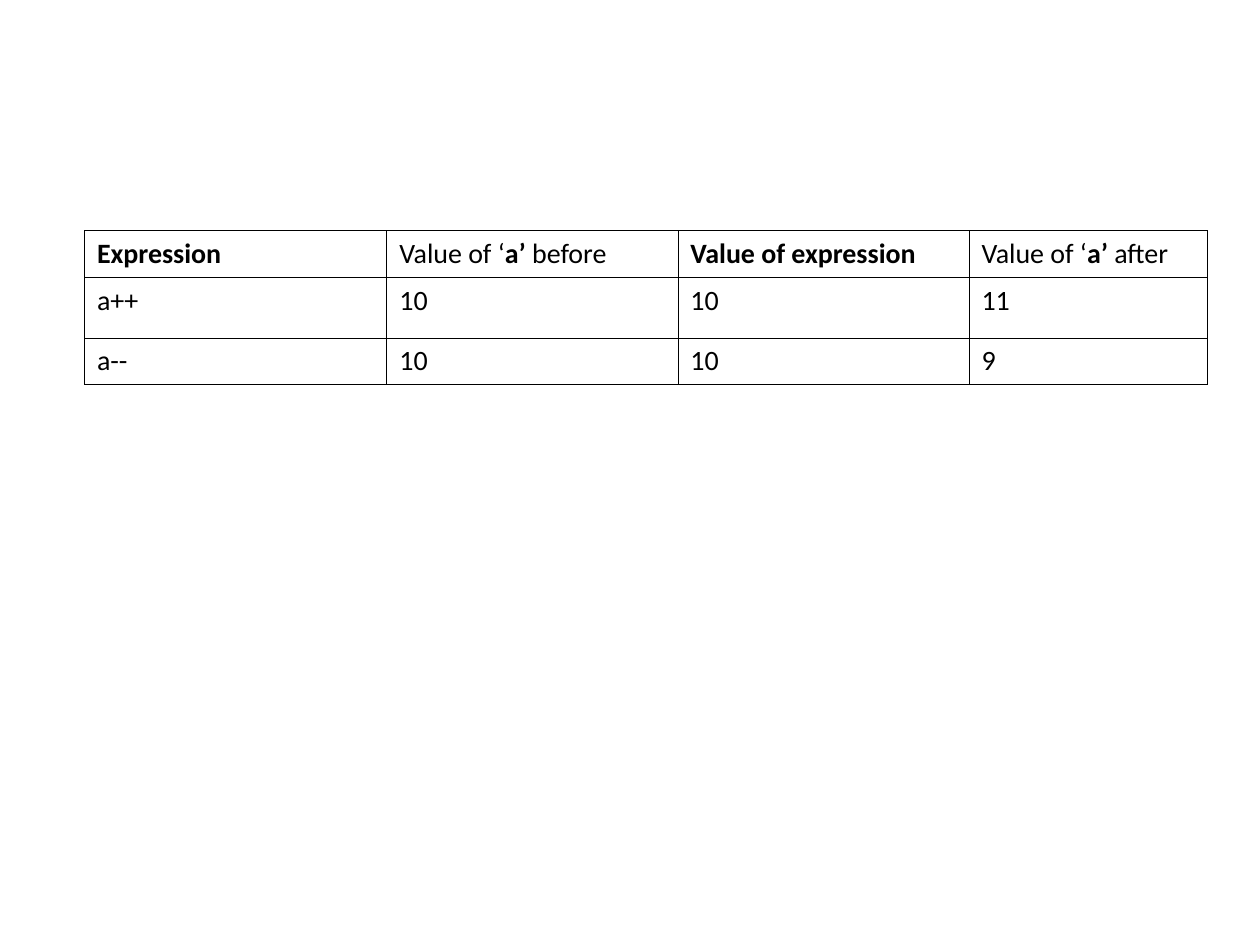
from pptx import Presentation
from pptx.dml.color import RGBColor
from pptx.oxml import parse_xml
from pptx.oxml.ns import nsdecls
from pptx.util import Inches, Pt

BLACK = RGBColor(0, 0, 0)
WIDTHS = [2.4, 2.31, 2.31, 1.89]
HEIGHTS = [0.37, 0.48, 0.37]
# Each cell is a list of (text, bold) runs.
HEAD = [
    [("Expression", True)],
    [("Value of ‘", False), ("a’", True), (" before", False)],
    [("Value of expression", True)],
    [("Value of ‘", False), ("a’", True), (" after", False)],
]
BODY = [["a++", "10", "10", "11"], ["a--", "10", "10", "9"]]
ROWS = [HEAD] + [[[(text, False)] for text in row] for row in BODY]


def add_border(cell):
    props = cell._tc.get_or_add_tcPr()
    for side in ("lnL", "lnR", "lnT", "lnB"):
        props.append(parse_xml(
            f'<a:{side} {nsdecls("a")} w="{Pt(0.45)}"><a:solidFill>'
            f'<a:srgbClr val="{BLACK}"/></a:solidFill></a:{side}>'))


prs = Presentation()
prs.slide_width, prs.slide_height = Inches(10), Inches(7.5)
slide = prs.slides.add_slide(prs.slide_layouts[6])

table = slide.shapes.add_table(
    len(HEIGHTS), len(WIDTHS), Inches(0.67), Inches(1.83),
    Inches(sum(WIDTHS)), Inches(sum(HEIGHTS))).table
table.first_row = table.horz_banding = False
for col, width in zip(table.columns, WIDTHS):
    col.width = Inches(width)
for row, height in zip(table.rows, HEIGHTS):
    row.height = Inches(height)

for row, line in zip(table.rows, ROWS):
    for cell, runs in zip(row.cells, line):
        add_border(cell)
        cell.fill.background()
        para = cell.text_frame.paragraphs[0]
        for text, bold in runs:
            run = para.add_run()
            run.text = text
            style = {"name": "Calibri", "size": Pt(16), "bold": bold}
            for key, value in style.items():
                setattr(run.font, key, value)
            run.font.color.rgb = BLACK

prs.save("out.pptx")
